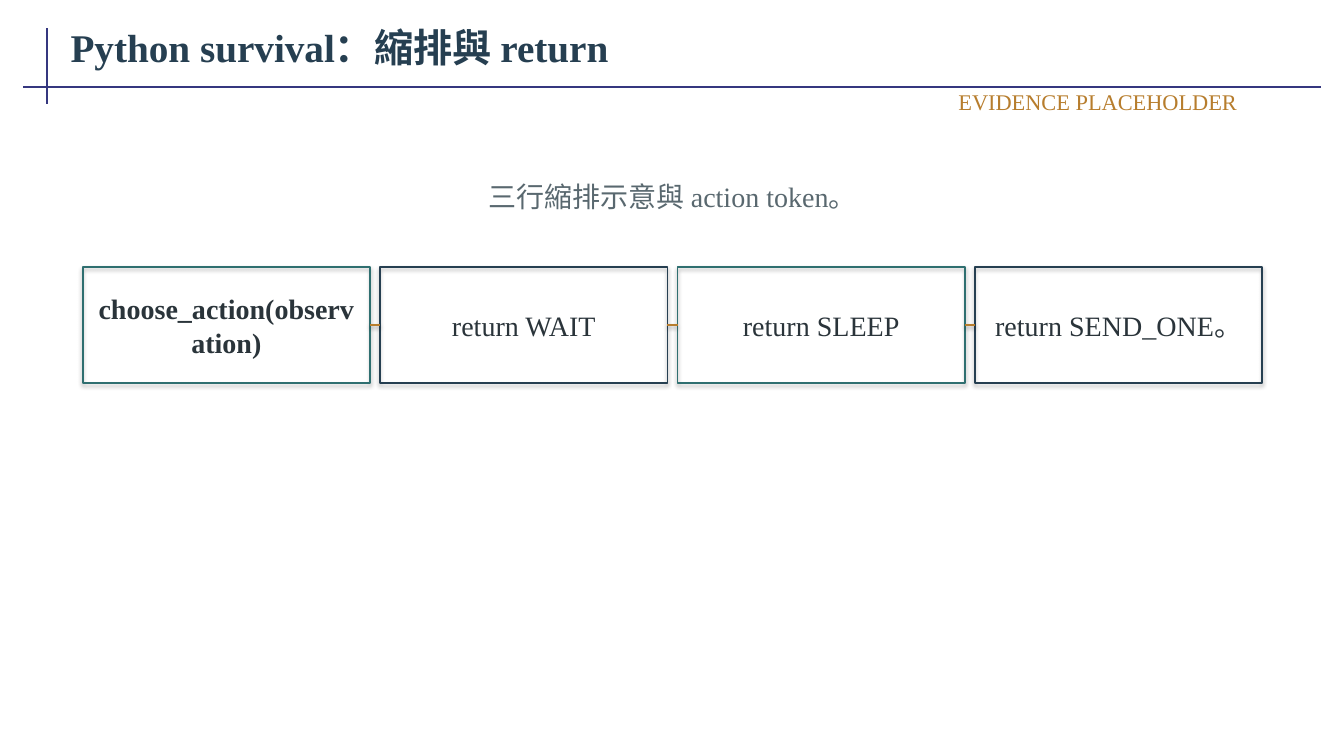
"""Build the slide on Python indentation and return values."""
from dataclasses import dataclass

from lxml import etree
from pptx import Presentation
from pptx.dml.color import RGBColor
from pptx.enum.shapes import MSO_CONNECTOR as Connector, MSO_SHAPE as Shape
from pptx.enum.text import MSO_ANCHOR as Anchor, MSO_AUTO_SIZE as AutoSize, PP_ALIGN as Align
from pptx.oxml.ns import qn
from pptx.shapes.autoshape import Shape as AutoShape
from pptx.shapes.connector import Connector as Line
from pptx.slide import Slide
from pptx.text.text import TextFrame
from pptx.util import Emu, Pt

PX = 9144


@dataclass(frozen=True)
class Theme:
    font: str = "Times New Roman"
    navy: str = "263F51"
    teal: str = "2F6F70"
    amber: str = "B77D2D"
    ink: str = "2A343A"
    slate: str = "59686F"
    rule: str = "35377F"
    shadow: str = "000000"
    title_size: int = 28
    body_size: int = 20
    tag_size: int = 16
    rule_width: float = 1.5
    step_width: float = 1.2


THEME = Theme()


@dataclass(frozen=True)
class Box:
    left: int
    top: int
    width: int
    height: int

    def emu(self) -> tuple[Emu, ...]:
        return tuple(px(n) for n in (self.left, self.top, self.width, self.height))

    def inset(self, dx: int, dy: int) -> "Box":
        return Box(self.left + dx, self.top + dy, self.width - 2 * dx, self.height - 2 * dy)


@dataclass(frozen=True)
class Style:
    size: int
    color: str
    align: Align = Align.CENTER
    bold: bool = False


@dataclass(frozen=True)
class Step:
    code: str
    border: str
    bold: bool = False


STEPS = (
    Step("choose_action(observation)", THEME.teal, bold=True),
    Step("return WAIT", THEME.navy),
    Step("return SLEEP", THEME.teal),
    Step("return SEND_ONE。", THEME.navy),
)
FIRST_STEP = Box(82, 265, 285, 115)
STEP_GAP = 10


def px(length: int) -> Emu:
    return Emu(length * PX)


def write(frame: TextFrame, text: str, style: Style) -> None:
    frame.word_wrap = True
    frame.vertical_anchor = Anchor.MIDDLE
    frame.margin_left = frame.margin_right = px(8)
    frame.margin_top = frame.margin_bottom = px(4)
    paragraph = frame.paragraphs[0]
    paragraph.alignment = style.align
    run = paragraph.add_run()
    run.text = text
    run.font.name = THEME.font
    run.font.size = Pt(style.size)
    run.font.bold = style.bold
    run.font.color.rgb = RGBColor.from_string(style.color)


def add_text(slide: Slide, box: Box, text: str, style: Style) -> None:
    frame = slide.shapes.add_textbox(*box.emu()).text_frame
    write(frame, text, style)
    frame.auto_size = AutoSize.SHAPE_TO_FIT_TEXT


def set_shadow(shape: AutoShape | Line, opacity: int = 0, distance: float = 0) -> None:
    properties = shape._element.spPr
    for old in properties.findall(qn("a:effectLst")):
        properties.remove(old)
    effects = etree.SubElement(properties, qn("a:effectLst"))
    if opacity:
        shadow = etree.SubElement(
            effects, qn("a:outerShdw"), blurRad=str(Pt(3.1)), dist=str(Pt(distance)),
            dir="5400000", rotWithShape="0")
        color = etree.SubElement(shadow, qn("a:srgbClr"), val=THEME.shadow)
        etree.SubElement(color, qn("a:alpha"), val=str(opacity * 1000))


def add_line(slide: Slide, start: tuple[int, int], end: tuple[int, int],
             color: str, width: float) -> Line:
    line = slide.shapes.add_connector(
        Connector.STRAIGHT, *(px(n) for n in (*start, *end)))
    line.line.color.rgb = RGBColor.from_string(color)
    line.line.width = Pt(width)
    set_shadow(line)
    return line


def add_step(slide: Slide, box: Box, step: Step) -> AutoShape:
    frame = slide.shapes.add_shape(Shape.RECTANGLE, *box.emu())
    frame.fill.background()
    frame.line.color.rgb = RGBColor.from_string(step.border)
    frame.line.width = Pt(THEME.step_width)
    set_shadow(frame, opacity=35, distance=1.8)
    add_text(slide, box.inset(5, 10), step.code,
             Style(THEME.body_size, THEME.ink, bold=step.bold))
    return frame


def add_steps(slide: Slide) -> None:
    previous = None
    middle = FIRST_STEP.top + FIRST_STEP.height // 2
    for index, step in enumerate(STEPS):
        left = FIRST_STEP.left + index * (FIRST_STEP.width + STEP_GAP)
        box = Box(left, FIRST_STEP.top, FIRST_STEP.width, FIRST_STEP.height)
        current = add_step(slide, box, step)
        if previous is not None:
            link = add_line(slide, (left - STEP_GAP, middle), (left, middle),
                            THEME.amber, THEME.step_width)
            link.begin_connect(previous, 3)
            link.end_connect(current, 1)
            set_shadow(link, opacity=38, distance=1.6)
        previous = current


def add_heading(slide: Slide) -> None:
    title = slide.shapes.title
    title.left, title.top, title.width, title.height = Box(62, 15, 1249, 62).emu()
    write(title.text_frame, "Python survival：縮排與 return",
          Style(THEME.title_size, THEME.navy, Align.LEFT, bold=True))
    title.text_frame.auto_size = AutoSize.NONE
    add_line(slide, (47, 28), (47, 103), THEME.rule, THEME.rule_width)
    add_line(slide, (23, 86), (1310, 86), THEME.rule, THEME.rule_width)


def main() -> None:
    deck = Presentation()
    deck.slide_width, deck.slide_height = px(1333), px(750)
    slide = deck.slides.add_slide(deck.slide_layouts.get_by_name("Title Only"))
    add_heading(slide)
    add_steps(slide)
    add_text(slide, Box(92, 165, 1150, 60), "三行縮排示意與 action token。",
             Style(THEME.body_size, THEME.slate))
    add_text(slide, Box(915, 86, 320, 30), "EVIDENCE PLACEHOLDER",
             Style(THEME.tag_size, THEME.amber, Align.RIGHT))
    deck.save("out.pptx")


if __name__ == "__main__":
    main()
